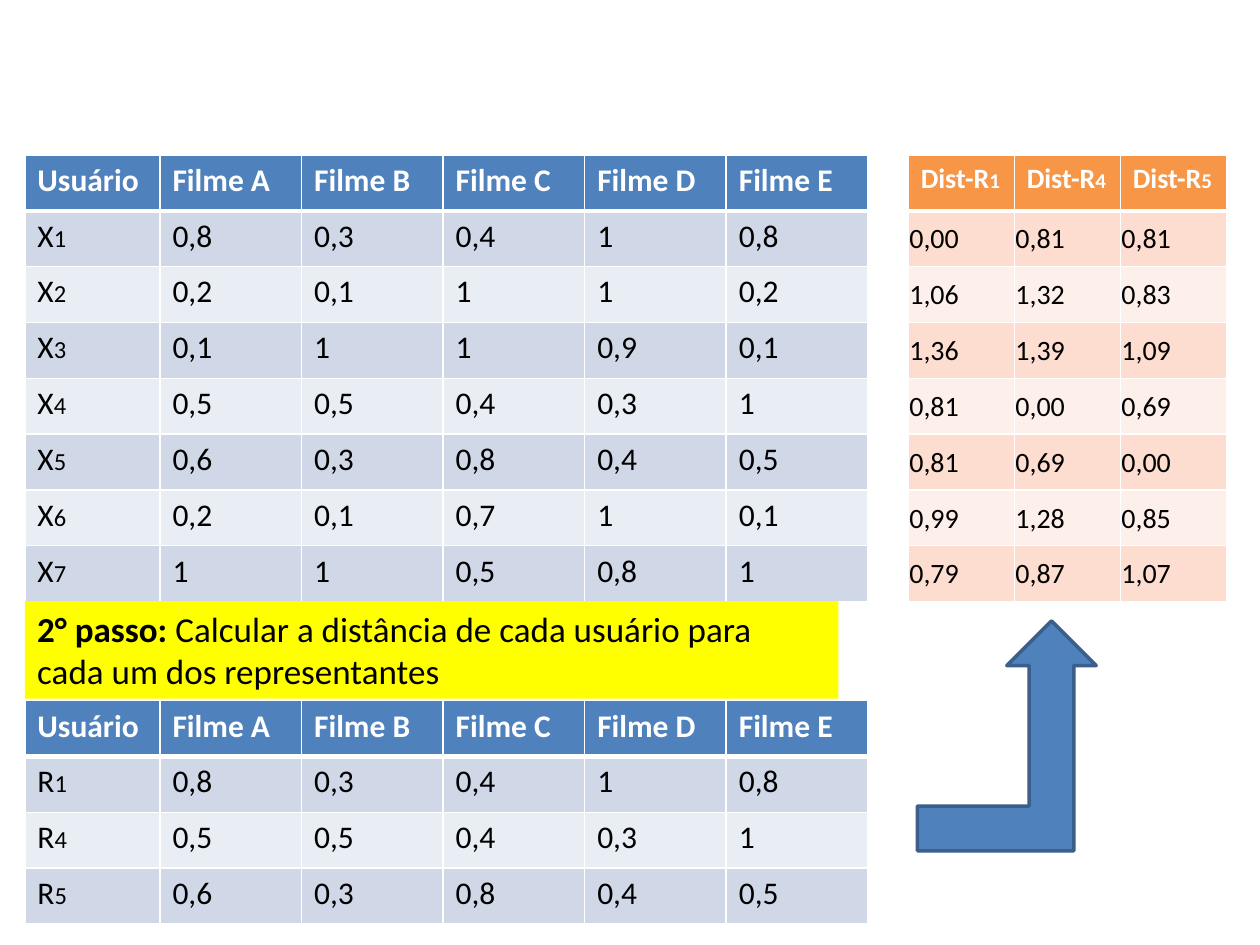
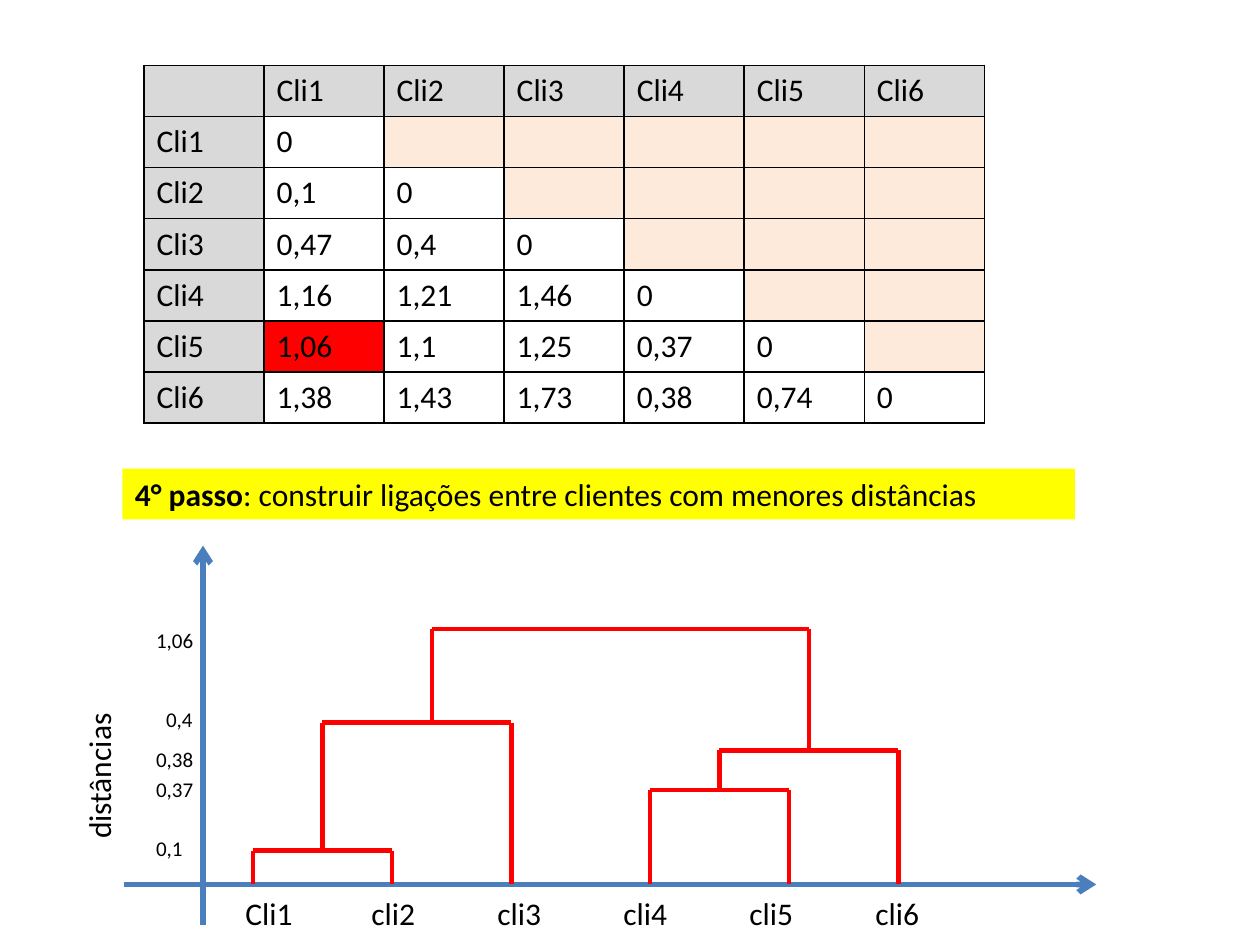
"""Builds two slides on clustering: distances to representatives and a dendrogram."""
from dataclasses import dataclass

from lxml import etree
from pptx import Presentation
from pptx.dml.color import RGBColor
from pptx.enum.shapes import MSO_CONNECTOR, MSO_SHAPE
from pptx.enum.text import MSO_ANCHOR
from pptx.oxml.ns import qn
from pptx.util import Pt

STRAIGHT = MSO_CONNECTOR.STRAIGHT
BENT_ARROW = MSO_SHAPE.BENT_UP_ARROW
MIDDLE = MSO_ANCHOR.MIDDLE


@dataclass(frozen=True)
class Theme:
    font: str = "Calibri"
    black: str = "000000"
    white: str = "FFFFFF"
    blue: str = "4F81BD"
    blue_edge: str = "3A5F8C"
    blue_bands: tuple = ("D0D8E8", "E9EDF4")
    orange: str = "F79646"
    orange_bands: tuple = ("FCDDCF", "FDEFE9")
    axis: str = "4B7EBC"
    red: str = "FF0000"
    yellow: str = "FFFF00"
    grey: str = "D9D9D9"
    cream: str = "FDEADA"
    step: int = 20
    body: int = 18
    distance: int = 16
    index: int = 14
    small: int = 12


THEME = Theme()

FILMS = ["Usuário", "Filme A", "Filme B", "Filme C", "Filme D", "Filme E"]
USERS = {
    "1": ["0,8", "0,3", "0,4", "1", "0,8"],
    "2": ["0,2", "0,1", "1", "1", "0,2"],
    "3": ["0,1", "1", "1", "0,9", "0,1"],
    "4": ["0,5", "0,5", "0,4", "0,3", "1"],
    "5": ["0,6", "0,3", "0,8", "0,4", "0,5"],
    "6": ["0,2", "0,1", "0,7", "1", "0,1"],
    "7": ["1", "1", "0,5", "0,8", "1"],
}
REPRESENTATIVES = ["1", "4", "5"]
DISTANCES = [
    ["0,00", "0,81", "0,81"],
    ["1,06", "1,32", "0,83"],
    ["1,36", "1,39", "1,09"],
    ["0,81", "0,00", "0,69"],
    ["0,81", "0,69", "0,00"],
    ["0,99", "1,28", "0,85"],
    ["0,79", "0,87", "1,07"],
]
STEP_2 = [("2° passo: ", True),
          ("Calcular a distância de cada usuário para cada um dos representantes", False)]

CLIENTS = ["Cli1", "Cli2", "Cli3", "Cli4", "Cli5", "Cli6"]
CLIENT_DISTANCES = [
    ["0"],
    ["0,1", "0"],
    ["0,47", "0,4", "0"],
    ["1,16", "1,21", "1,46", "0"],
    ["1,06", "1,1", "1,25", "0,37", "0"],
    ["1,38", "1,43", "1,73", "0,38", "0,74", "0"],
]
LINKING_DISTANCE = "1,06"
STEP_4 = [("4° passo", True),
          (": construir ligações entre clientes com menores distâncias", False)]
AXIS_TITLE = "distâncias"
AXIS_CLIENTS = ["Cli1", "cli2", "cli3", "cli4", "cli5", "cli6"]
AXIS_TAB = 72
AXIS_LEVELS = [("0,1", 82.1, 473.8), ("0,37", 82.1, 440), ("0,38", 82.1, 423.2),
               ("0,4", 87.8, 400.3), ("1,06", 82.1, 355)]
BASELINE = 505.4
LEAVES = {"cli1": 144.7, "cli2": 223.9, "cli3": 292.3,
          "cli4": 371.5, "cli5": 450.7, "cli6": 513.4}
LINKS = [
    ("1-2", "cli1", "cli2", 486, 184.3),
    ("4-5", "cli4", "cli5", 451.4, 411.1),
    ("4-6", "4-5", "cli6", 428.8, 462.2),
    ("1-3", "1-2", "cli3", 412.9, 247),
    ("all", "1-3", "4-6", 359.3, None),
]


def rgb(color):
    return RGBColor.from_string(color)


def add_run(paragraph, text, size, color=THEME.black, bold=False):
    run = paragraph.add_run()
    run.text = text
    run.font.name = THEME.font
    run.font.size = Pt(size)
    run.font.bold = bold
    run.font.color.rgb = rgb(color)


def add_text(slide, box, runs, size, fill=None, rotation=0):
    label = slide.shapes.add_textbox(*map(Pt, box))
    label.rotation = rotation
    label.text_frame.word_wrap = True
    if fill:
        label.fill.solid()
        label.fill.fore_color.rgb = rgb(fill)
    paragraph = label.text_frame.paragraphs[0]
    for text, bold in runs:
        add_run(paragraph, text, size, bold=bold)
    return paragraph


def add_tab_stops(paragraph, gap, count):
    stops = etree.SubElement(paragraph._p.get_or_add_pPr(), qn("a:tabLst"))
    for number in range(1, count + 1):
        etree.SubElement(stops, qn("a:tab"), pos=str(Pt(gap * number)), algn="l")


def add_line(slide, start, end, color, width, arrow=False):
    line = slide.shapes.add_connector(STRAIGHT, *map(Pt, (*start, *end)))
    line.line.color.rgb = rgb(color)
    line.line.width = Pt(width)
    if arrow:
        etree.SubElement(line.line._get_or_add_ln(), qn("a:tailEnd"), type="arrow")
    etree.SubElement(line._element.spPr, qn("a:effectLst"))


def add_borders(cell, color, top=1, bottom=1):
    properties = cell._tc.get_or_add_tcPr()
    for side, width in (("L", 1), ("R", 1), ("T", top), ("B", bottom)):
        border = etree.SubElement(properties, qn(f"a:ln{side}"), w=str(Pt(width)))
        solid = etree.SubElement(border, qn("a:solidFill"))
        etree.SubElement(solid, qn("a:srgbClr"), val=color)


def add_grid(slide, left, top, widths, row_height, row_count):
    frame = slide.shapes.add_table(row_count, len(widths), Pt(left), Pt(top),
                                   Pt(sum(widths)), Pt(row_height * row_count))
    grid = frame.table
    grid.first_row = grid.horz_banding = False
    for column, width in zip(grid.columns, widths):
        column.width = Pt(width)
    for row in grid.rows:
        row.height = Pt(row_height)
    return grid


def fill_cell(cell, color):
    if color:
        cell.fill.solid()
        cell.fill.fore_color.rgb = rgb(color)
    else:
        cell.fill.background()


def add_banded_table(slide, left, top, widths, rows, header, bands, sizes, tight=False):
    grid = add_grid(slide, left, top, widths, 31.9, len(rows))
    for r, row in enumerate(rows):
        for c, parts in enumerate(row):
            cell = grid.cell(r, c)
            add_borders(cell, THEME.white, 3 if r == 1 else 1, 3 if r == 0 else 1)
            fill_cell(cell, bands[(r - 1) % 2] if r else header)
            if tight and r:
                cell.vertical_anchor = MIDDLE
                cell.margin_left = cell.margin_right = cell.margin_top = Pt(0.7)
                cell.margin_bottom = 0
            for text, size in zip(parts, sizes):
                add_run(cell.text_frame.paragraphs[0], text, size,
                        THEME.black if r else THEME.white, bold=r == 0)


def film_rows(letter, keys):
    header = [(film,) for film in FILMS]
    return [header] + [[(letter, key)] + [(score,) for score in USERS[key]] for key in keys]


def build_distances_slide(slide):
    film_widths = [77.2] + [80.92] * 5
    blue_look = (THEME.blue, THEME.blue_bands, (THEME.body, THEME.index))
    add_banded_table(slide, 14.2, 88.6, film_widths, film_rows("X", USERS), *blue_look)
    add_text(slide, (14.2, 343.5, 465, 55.7), STEP_2, THEME.step, THEME.yellow)
    add_banded_table(slide, 14.2, 400.4, film_widths,
                     film_rows("R", REPRESENTATIVES), *blue_look)
    distance_rows = [[("Dist-R", key) for key in REPRESENTATIVES]]
    distance_rows += [[(value,) for value in row] for row in DISTANCES]
    add_banded_table(slide, 519, 88.6, [60.6] * 3, distance_rows, THEME.orange,
                     THEME.orange_bands, (THEME.distance, THEME.small), tight=True)
    arrow = slide.shapes.add_shape(BENT_ARROW, *map(Pt, (524.2, 354.8, 102.2, 131.4)))
    arrow.shadow.inherit = False
    arrow.fill.solid()
    arrow.fill.fore_color.rgb = rgb(THEME.blue)
    arrow.line.color.rgb = rgb(THEME.blue_edge)
    arrow.line.width = Pt(2)


def add_client_matrix(slide):
    rows = [[""] + CLIENTS]
    rows += [[client] + values for client, values in zip(CLIENTS, CLIENT_DISTANCES)]
    grid = add_grid(slide, 82.3, 37.4, [68.6] * 7, 29.2, len(rows))
    for r, row in enumerate(rows):
        for c in range(len(rows[0])):
            cell = grid.cell(r, c)
            add_borders(cell, THEME.black)
            text = row[c] if c < len(row) else ""
            if r == 0 or c == 0:
                color = THEME.grey
            elif c > r:
                color = THEME.cream
            else:
                color = THEME.red if text == LINKING_DISTANCE else None
            fill_cell(cell, color)
            if text:
                add_run(cell.text_frame.paragraphs[0], text, THEME.body)


def add_dendrogram(slide):
    nodes = {client: (x, BASELINE) for client, x in LEAVES.items()}
    for link, left, right, level, stem in LINKS:
        ends = [nodes[left], nodes[right]]
        for x, foot in ends:
            add_line(slide, (x, level), (x, foot), THEME.red, 2.5)
        add_line(slide, (ends[0][0], level), (ends[1][0], level), THEME.red, 2.5)
        nodes[link] = (stem, level)


def build_dendrogram_slide(slide):
    add_client_matrix(slide)
    add_text(slide, (70, 267.8, 544.3, 29), STEP_4, THEME.body, THEME.yellow)
    add_line(slide, (116, 528.5), (116, 311.8), THEME.axis, 3.25, arrow=True)
    add_line(slide, (70.6, BASELINE), (626.4, BASELINE), THEME.axis, 3.25, arrow=True)
    client_axis = add_text(slide, (133.2, 507.4, 521.3, 29),
                           [("\t".join(AXIS_CLIENTS), False)], THEME.body)
    add_tab_stops(client_axis, AXIS_TAB, len(AXIS_CLIENTS) - 1)
    add_text(slide, (7.9, 423.4, 97.2, 29), [(AXIS_TITLE, False)], THEME.body, rotation=270)
    for level, left, top in AXIS_LEVELS:
        add_text(slide, (left, top, 39.6, 21.6), [(level, False)], THEME.small)
    add_dendrogram(slide)


def main():
    deck = Presentation()
    deck.slide_width, deck.slide_height = Pt(720), Pt(540)
    blank = deck.slide_layouts[6]
    for build in (build_distances_slide, build_dendrogram_slide):
        build(deck.slides.add_slide(blank))
    deck.save("out.pptx")


if __name__ == "__main__":
    main()
